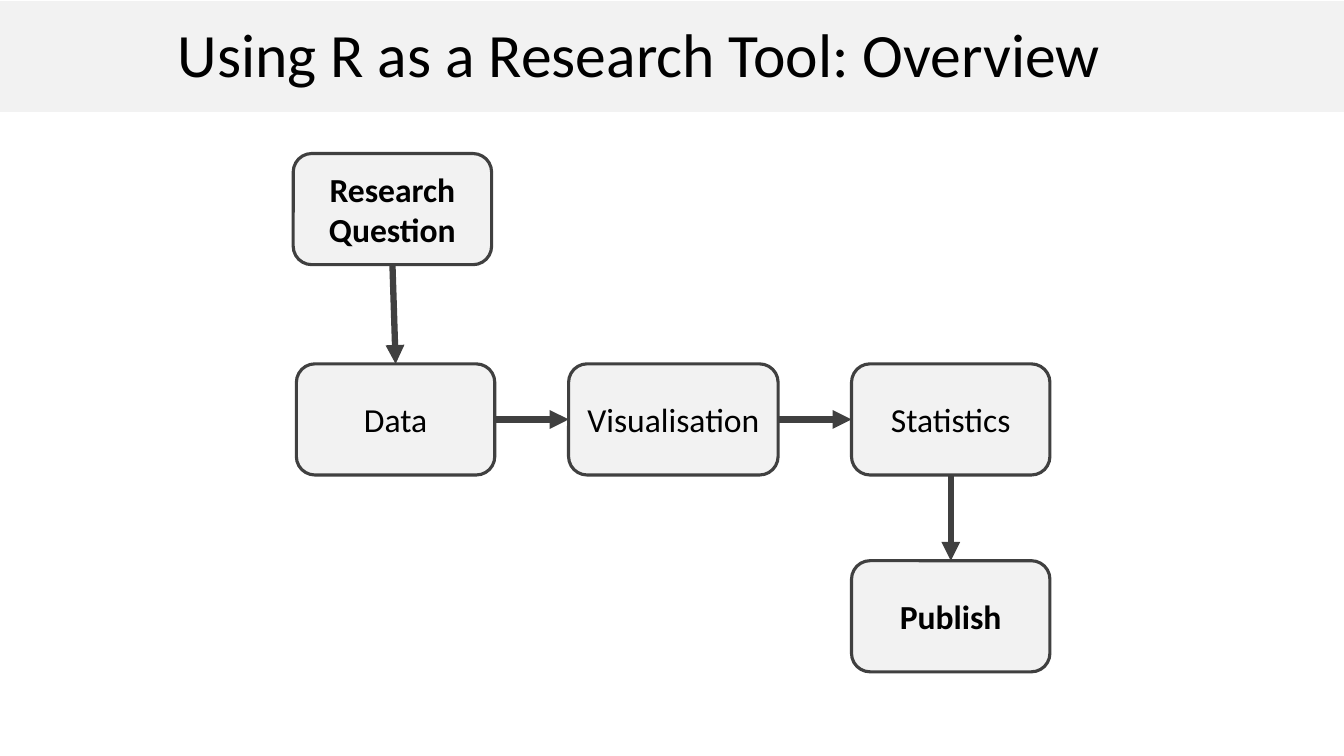
from pptx import Presentation
from pptx.dml.color import RGBColor
from pptx.enum.shapes import MSO_CONNECTOR, MSO_SHAPE
from pptx.enum.text import MSO_ANCHOR, PP_ALIGN
from pptx.oxml.ns import qn
from pptx.util import Cm, Pt
from lxml.etree import SubElement

TOP, LEFT, BOTTOM, RIGHT = 0, 1, 2, 3


def color(code):
    return RGBColor.from_string(code)


class Page:
    font = "Calibri"
    ink = "000000"
    pale = "F2F2F2"
    dark = "404040"

    def __init__(self, slide):
        self.slide = slide

    def label(self, frame, text, size, bold=False):
        frame.word_wrap = True
        frame.vertical_anchor = MSO_ANCHOR.MIDDLE
        para = frame.paragraphs[0]
        run = para.add_run()
        run.text = text
        run.font.name = self.font
        run.font.size = Pt(size)
        run.font.bold = bold
        run.font.color.rgb = color(self.ink)
        return para

    def shape(self, kind, x, y, w, h):
        item = self.slide.shapes.add_shape(kind, Cm(x), Cm(y), Cm(w), Cm(h))
        item.shadow.inherit = False
        item.fill.solid()
        item.fill.fore_color.rgb = color(self.pale)
        return item

    def band(self, x, y, w, h):
        self.shape(MSO_SHAPE.RECTANGLE, x, y, w, h).line.fill.background()

    def title(self, text, x, y, w, h):
        box = self.slide.shapes.add_textbox(Cm(x), Cm(y), Cm(w), Cm(h))
        self.label(box.text_frame, text, 44).line_spacing = 0.9

    def step(self, text, x, y, w=5, h=2.8, bold=False):
        item = self.shape(MSO_SHAPE.ROUNDED_RECTANGLE, x, y, w, h)
        item.line.color.rgb = color(self.dark)
        item.line.width = Pt(2.25)
        para = self.label(item.text_frame, text, 24, bold)
        para.alignment = PP_ALIGN.CENTER
        return item

    def arrow(self, start, out, end, into):
        link = self.slide.shapes.add_connector(MSO_CONNECTOR.STRAIGHT, 0, 0, 0, 0)
        link.begin_connect(start, out)
        link.end_connect(end, into)
        link.line.color.rgb = color(self.dark)
        link.line.width = Pt(4.5)
        props = link.element.spPr
        SubElement(props.find(qn("a:ln")), qn("a:tailEnd"), type="triangle")
        SubElement(props, qn("a:effectLst"))


def main():
    deck = Presentation()
    deck.slide_width, deck.slide_height = Cm(33.87), Cm(19.05)
    page = Page(deck.slides.add_slide(deck.slide_layouts[6]))

    # Heading
    page.band(0, 0.03, 33.87, 2.79)
    page.title("Using R as a Research Tool: Overview", 4.23, -0.2, 25.4, 3.3)

    # Workflow steps
    row, last = 9.17, 21.46
    query = page.step("Research Question", 7.39, 3.87, bold=True)
    data = page.step("Data", 7.47, row)
    visual = page.step("Visualisation", 14.33, row, w=5.28)
    stats = page.step("Statistics", last, row)
    publish = page.step("Publish", last, 14.13, bold=True)

    # Arrows between steps
    page.arrow(query, BOTTOM, data, TOP)
    page.arrow(data, RIGHT, visual, LEFT)
    page.arrow(visual, RIGHT, stats, LEFT)
    page.arrow(stats, BOTTOM, publish, TOP)

    deck.save("out.pptx")


if __name__ == "__main__":
    main()
